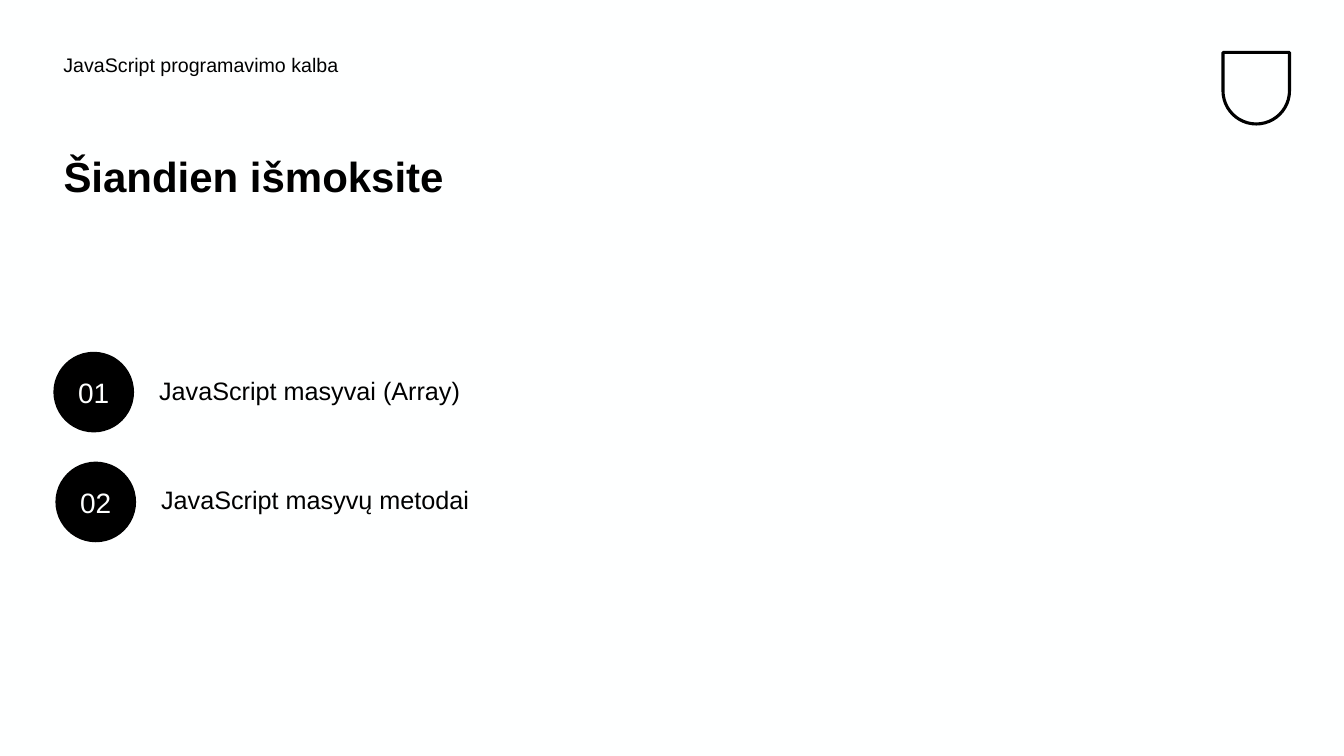
"""Build the lesson agenda slide with its title and two numbered topics."""
from dataclasses import dataclass

from pptx import Presentation
from pptx.dml.color import RGBColor
from pptx.enum.shapes import MSO_SHAPE as Shape
from pptx.enum.text import MSO_ANCHOR as Anchor, MSO_AUTO_SIZE as AutoSize, PP_ALIGN as Align
from pptx.util import Inches, Pt


@dataclass(frozen=True)
class Theme:
    font: str = "Arial"
    black: RGBColor = RGBColor(0x00, 0x00, 0x00)
    white: RGBColor = RGBColor(0xFE, 0xFF, 0xFF)
    course_size: int = 14
    title_size: int = 30
    topic_size: int = 18
    number_size: int = 20
    emblem_line: float = 2.2


theme = Theme()


def write(shape, text, size, color, bold=False, align=Align.LEFT, anchor=Anchor.TOP, spacing=1.0):
    frame = shape.text_frame
    frame.word_wrap = True
    frame.auto_size = AutoSize.NONE
    frame.vertical_anchor = anchor
    para = frame.paragraphs[0]
    para.alignment = align
    para.line_spacing = spacing
    span = para.add_run()
    span.text = text
    span.font.name = theme.font
    span.font.size = Pt(size)
    span.font.bold = bold
    span.font.color.rgb = color


deck = Presentation()
deck.slide_width = Inches(13.33)
deck.slide_height = Inches(7.5)
page = deck.slides.add_slide(deck.slide_layouts[5])
page.background.fill.solid()
page.background.fill.fore_color.rgb = theme.white

emblem = page.shapes.add_shape(
    Shape.ROUND_2_SAME_RECTANGLE, Inches(12.13), Inches(0.52), Inches(0.66), Inches(0.71))
emblem.adjustments[0] = 0
emblem.adjustments[1] = 0.5
emblem.shadow.inherit = False
emblem.fill.background()
emblem.line.color.rgb = theme.black
emblem.line.width = Pt(theme.emblem_line)

course = page.shapes.add_textbox(Inches(0.53), Inches(0.5), Inches(7.42), Inches(0.5))
write(course, "JavaScript programavimo kalba", theme.course_size, theme.black, spacing=0.9)

title = page.shapes.title
title.left, title.top = Inches(0.53), Inches(1.5)
title.width, title.height = Inches(5.64), Inches(1.49)
write(title, "Šiandien išmoksite", theme.title_size, theme.black, bold=True, spacing=0.9)

topics = [
    ("01", "JavaScript masyvai (Array)", 0.53, 3.49),
    ("02", "JavaScript masyvų metodai", 0.55, 4.58),
]
for number, topic, left, top in topics:
    label = page.shapes.add_textbox(
        Inches(left + 0.95), Inches(top + 0.18), Inches(4.63), Inches(0.45))
    write(label, topic, theme.topic_size, theme.black)

    badge = page.shapes.add_shape(
        Shape.OVAL, Inches(left), Inches(top), Inches(0.8), Inches(0.8))
    badge.shadow.inherit = False
    badge.fill.solid()
    badge.fill.fore_color.rgb = theme.black
    badge.line.fill.background()
    write(badge, number, theme.number_size, theme.white, align=Align.CENTER, anchor=Anchor.MIDDLE)

deck.save("out.pptx")
